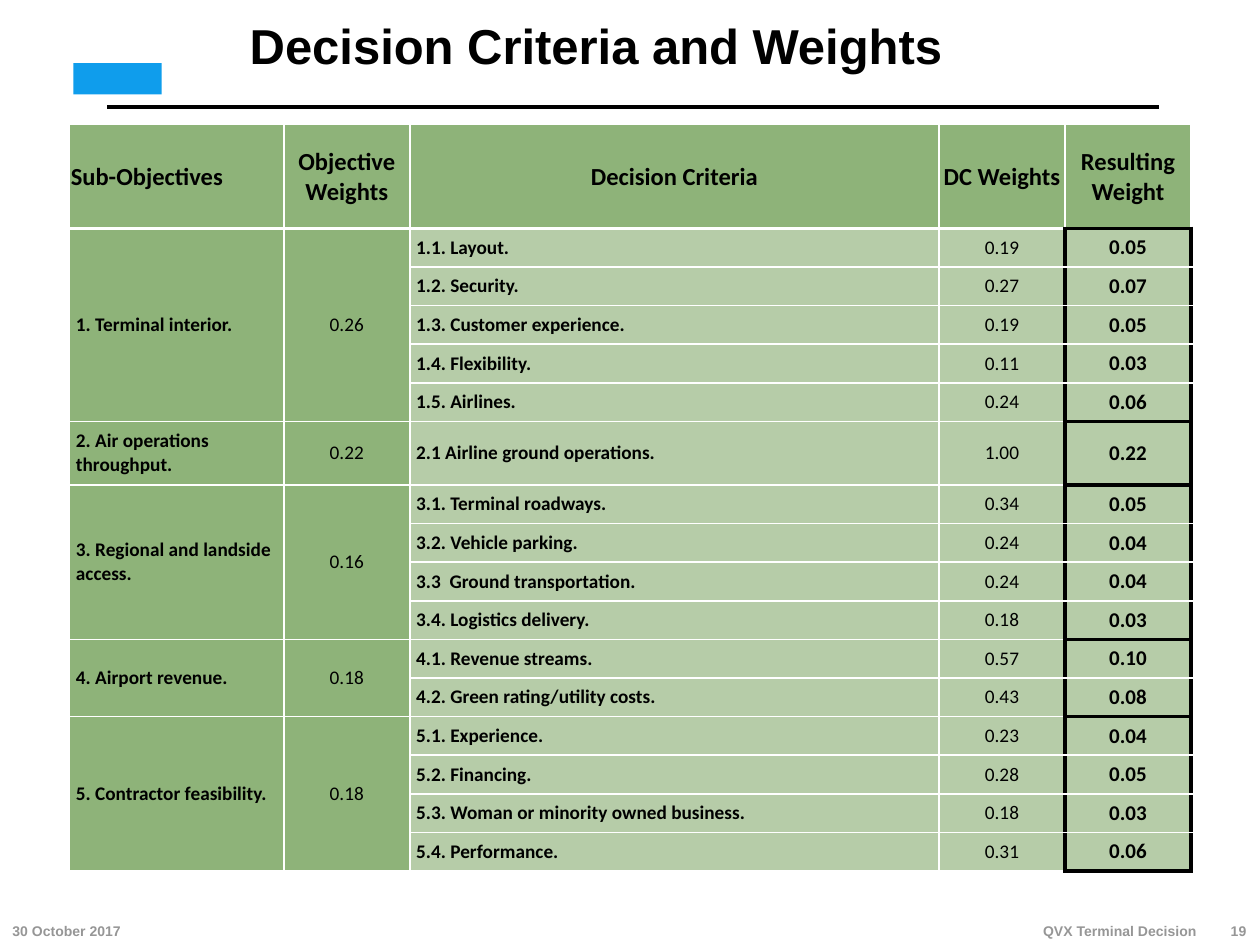
from lxml.etree import SubElement
from pptx import Presentation
from pptx.dml.color import RGBColor
from pptx.enum.shapes import MSO_CONNECTOR, MSO_SHAPE
from pptx.enum.text import MSO_ANCHOR as ANCHOR, MSO_AUTO_SIZE, PP_ALIGN as ALIGN
from pptx.oxml import parse_xml
from pptx.oxml.ns import nsdecls, qn
from pptx.util import Pt

BLACK, WHITE, GREY, BLUE = "000000", "FFFFFF", "969696", "0F9DEC"
DARK_GREEN, LIGHT_GREEN = "8EB379", "B6CCA8"
THIN, THICK = (WHITE, 1), (WHITE, 2.25)
FRAME = (BLACK, 2.25)

HEADINGS = ["Sub-Objectives", "Objective Weights", "Decision Criteria", "DC Weights", "Resulting Weight"]
COLUMN_WIDTHS = [122.4, 72, 302.4, 72, 72]
HEADER_HEIGHT, ROW_HEIGHT, TALL_ROW_HEIGHT = 59.5, 22.08, 36.4

OBJECTIVES = [
    ("1. Terminal interior.", "0.26", [
        ("1.1. Layout.", "0.19", "0.05"),
        ("1.2. Security.", "0.27", "0.07"),
        ("1.3. Customer experience.", "0.19", "0.05"),
        ("1.4. Flexibility.", "0.11", "0.03"),
        ("1.5. Airlines.", "0.24", "0.06"),
    ]),
    ("2. Air operations throughput.", "0.22", [
        ("2.1 Airline ground operations.", "1.00", "0.22"),
    ]),
    ("3. Regional and landside access.", "0.16", [
        ("3.1. Terminal roadways.", "0.34", "0.05"),
        ("3.2. Vehicle parking.", "0.24", "0.04"),
        ("3.3  Ground transportation.", "0.24", "0.04"),
        ("3.4. Logistics delivery.", "0.18", "0.03"),
    ]),
    ("4. Airport revenue.", "0.18", [
        ("4.1. Revenue streams.", "0.57", "0.10"),
        ("4.2. Green rating/utility costs.", "0.43", "0.08"),
    ]),
    ("5. Contractor feasibility.", "0.18", [
        ("5.1. Experience.", "0.23", "0.04"),
        ("5.2. Financing.", "0.28", "0.05"),
        ("5.3. Woman or minority owned business.", "0.18", "0.03"),
        ("5.4. Performance.", "0.31", "0.06"),
    ]),
]


def rgb(color):
    return RGBColor.from_string(color)


def style_text(frame, size, font, color=BLACK, bold=True, align=ALIGN.LEFT):
    for paragraph in frame.paragraphs:
        paragraph.alignment = align
        for run in paragraph.runs:
            run.font.size = Pt(size)
            run.font.name = font
            run.font.bold = bold
            run.font.color.rgb = rgb(color)


def add_title(slide, text):
    title = slide.shapes.title
    title.left, title.top, title.width, title.height = Pt(52.5), Pt(0), Pt(576), Pt(56)
    frame = title.text_frame
    frame.text = text
    frame.auto_size = MSO_AUTO_SIZE.NONE
    frame.vertical_anchor = ANCHOR.MIDDLE
    frame.margin_left = frame.margin_right = frame.margin_top = frame.margin_bottom = Pt(0)
    frame.paragraphs[0].line_spacing = 0.9
    style_text(frame, 28, "Arial", align=ALIGN.CENTER)


def add_rule(slide):
    rule = slide.shapes.add_connector(MSO_CONNECTOR.STRAIGHT, Pt(61.2), Pt(61.2), Pt(662.4), Pt(61.2))
    rule.line.color.rgb = rgb(BLACK)
    rule.line.width = Pt(2.5)
    SubElement(rule._element.spPr, qn("a:effectLst"))


def add_emblem(slide):
    emblem = slide.shapes.add_shape(MSO_SHAPE.RECTANGLE, Pt(42), Pt(36), Pt(50.4), Pt(18))
    emblem.shadow.inherit = False
    emblem.fill.solid()
    emblem.fill.fore_color.rgb = rgb(BLUE)
    emblem.line.fill.background()


def add_footer(slide, text, left, width, align):
    footer = slide.shapes.add_textbox(Pt(left), Pt(522), Pt(width), Pt(18))
    frame = footer.text_frame
    frame.word_wrap = True
    frame.vertical_anchor = ANCHOR.BOTTOM
    frame.text = text
    style_text(frame, 8, "Arial", GREY, align=align)


def set_borders(cell, left, right, top, bottom):
    properties = cell._tc.get_or_add_tcPr()
    for index, (side, (color, width)) in enumerate(zip("LRTB", (left, right, top, bottom))):
        properties.insert(index, parse_xml(
            f'<a:ln{side} {nsdecls("a")} w="{Pt(width)}"><a:solidFill>'
            f'<a:srgbClr val="{color}"/></a:solidFill></a:ln{side}>'))


def fill_cell(cell, text, fill, size, bold, align, margin):
    cell.fill.solid()
    cell.fill.fore_color.rgb = rgb(fill)
    cell.vertical_anchor = ANCHOR.MIDDLE
    cell.margin_left = cell.margin_right = cell.margin_top = Pt(margin)
    cell.margin_bottom = Pt(margin if margin > 1 else 0)
    cell.text_frame.text = text
    style_text(cell.text_frame, size, "Calibri", bold=bold, align=align)


def fill_header(table):
    for column, heading in enumerate(HEADINGS):
        cell = table.cell(0, column)
        align = ALIGN.CENTER if column else ALIGN.LEFT
        fill_cell(cell, heading, DARK_GREEN, 14, True, align, 0.7)
        set_borders(cell, THIN, THIN, THIN, FRAME if column == 4 else THICK)


def fill_criterion(table, row, texts, first, last):
    for column, text in enumerate(texts):
        cell = table.cell(row, column)
        result = column == 4
        label = column in (0, 2)
        fill_cell(cell, text, DARK_GREEN if column < 2 else LIGHT_GREEN, 12 if result else 11,
                  label or result, ALIGN.LEFT if label else ALIGN.CENTER, 3.6)
        if result:
            set_borders(cell, FRAME, FRAME, FRAME if first else THIN, FRAME if last else THIN)
        else:
            set_borders(cell, THIN, FRAME if column == 3 else THIN, THICK if row == 1 else THIN, THIN)


def add_weights_table(slide):
    row_heights = [HEADER_HEIGHT]
    for _, _, criteria in OBJECTIVES:
        row_heights += [TALL_ROW_HEIGHT if len(criteria) == 1 else ROW_HEIGHT] * len(criteria)
    table = slide.shapes.add_table(len(row_heights), len(HEADINGS), Pt(39.8), Pt(71),
                                   Pt(sum(COLUMN_WIDTHS)), Pt(sum(row_heights))).table
    for column, width in zip(table.columns, COLUMN_WIDTHS):
        column.width = Pt(width)
    for row, height in zip(table.rows, row_heights):
        row.height = Pt(height)
    fill_header(table)
    start = 1
    for objective, weight, criteria in OBJECTIVES:
        end = start + len(criteria) - 1
        for row, criterion in enumerate(criteria, start):
            first = row == start
            shared = (objective, weight) if first else ("", "")
            fill_criterion(table, row, shared + criterion, first, row == end)
        if end > start:
            for column in (0, 1):
                table.cell(start, column).merge(table.cell(end, column))
        start = end + 1


def main():
    deck = Presentation()
    deck.slide_width, deck.slide_height = Pt(720), Pt(540)
    slide = deck.slides.add_slide(deck.slide_layouts[5])
    add_rule(slide)
    add_emblem(slide)
    add_title(slide, "Decision Criteria and Weights")
    add_footer(slide, "30 October 2017", 0, 144, ALIGN.LEFT)
    add_footer(slide, "19", 690.5, 28.8, ALIGN.RIGHT)
    add_footer(slide, "QVX Terminal Decision", 475, 216, ALIGN.RIGHT)
    add_weights_table(slide)
    deck.save("out.pptx")


if __name__ == "__main__":
    main()
